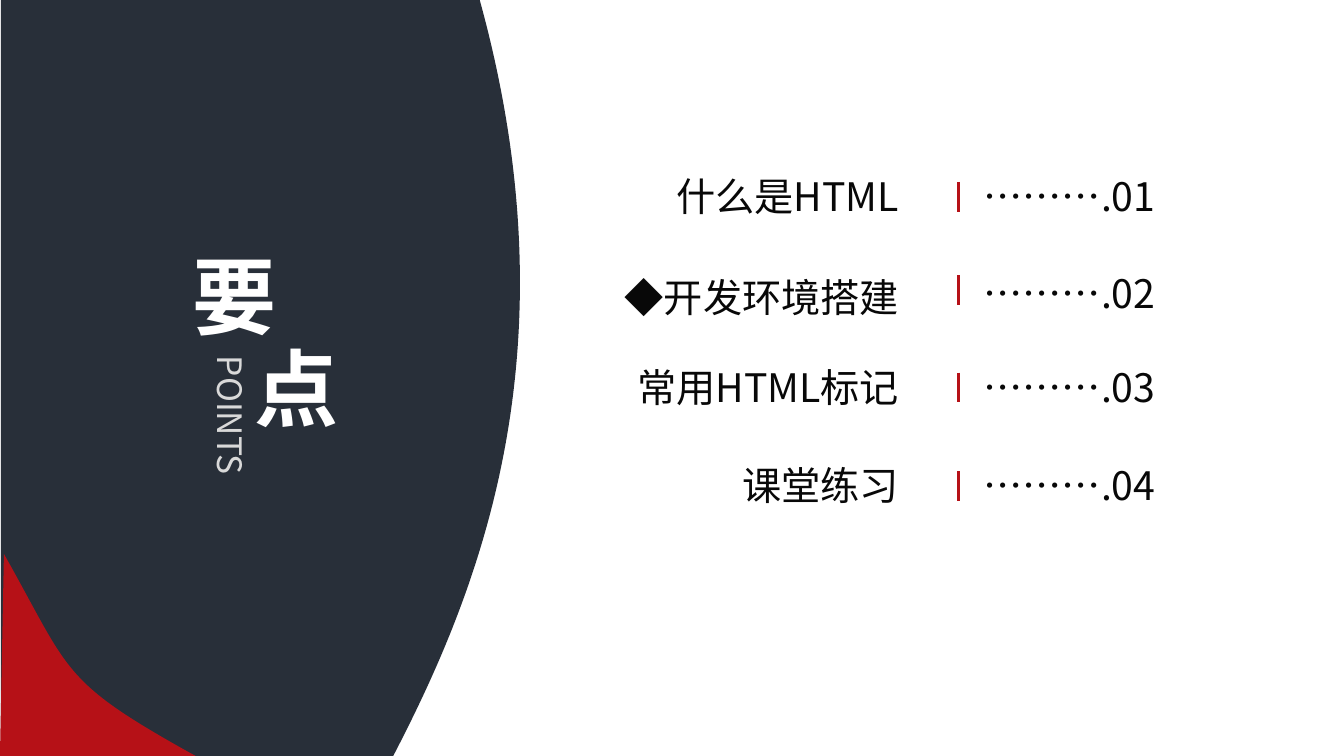
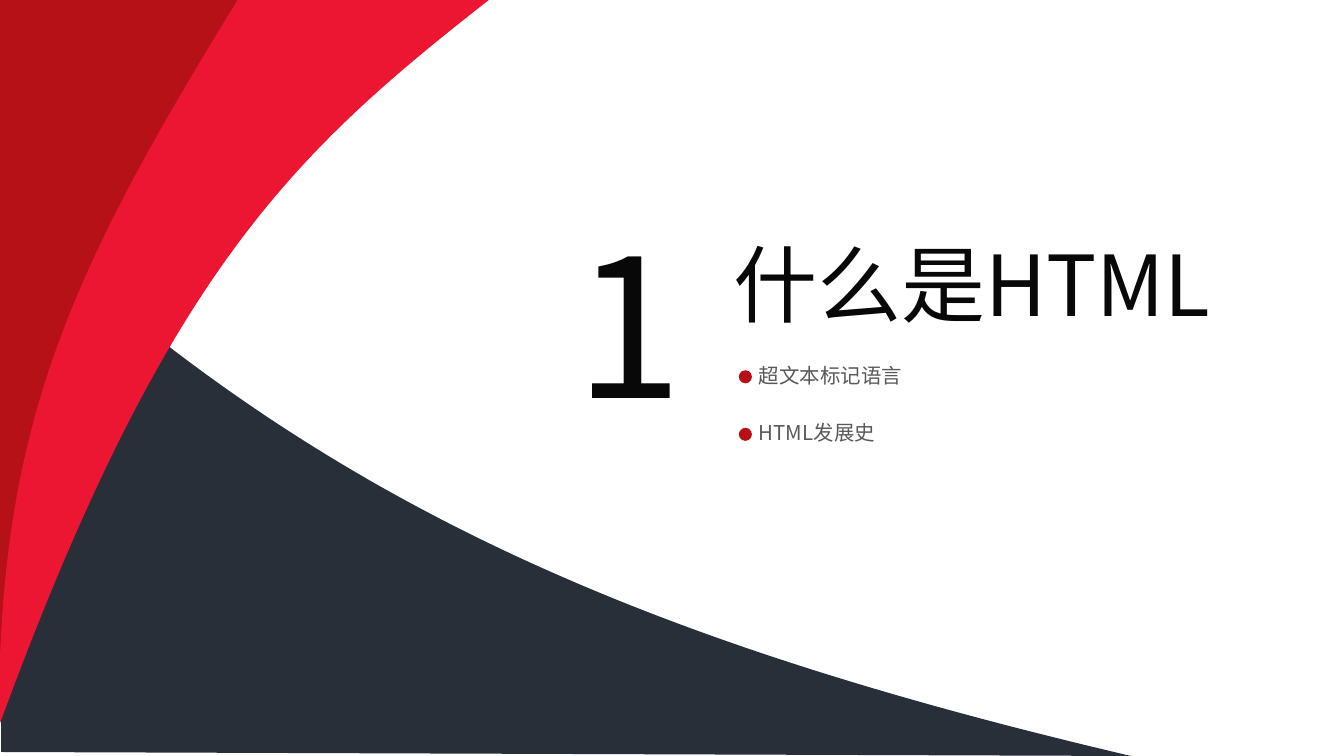
from lxml.etree import SubElement
from pptx import Presentation
from pptx.dml.color import RGBColor
from pptx.enum.shapes import MSO_CONNECTOR, MSO_SHAPE
from pptx.enum.text import MSO_AUTO_SIZE, PP_ALIGN
from pptx.oxml.ns import qn
from pptx.util import Cm, Pt

FONT = "Noto Sans CJK SC"
COLORS = {
    "navy": "282F39", "dark_red": "B61117", "red": "EC1632", "ink": "080808",
    "gray": "595959", "pale": "D9D9D9", "white": "FFFFFF",
}
STYLES = {
    "heading": {"size": Pt(60), "bold": True, "color": "white"},
    "subheading": {"size": Pt(24), "color": "pale"},
    "agenda": {"size": Pt(28), "color": "ink"},
    "title": {"size": Pt(60), "color": "ink"},
    "number": {"size": Pt(138), "color": "ink"},
    "topic": {"size": Pt(14.6), "color": "gray"},
}

# Outlines in cm: a pair is a line end, a six-tuple is a cubic curve.
AGENDA_OUTLINES = [
    ("navy", [(0.02, 0), (12.09, 0), (14.5, 8.74, 12.14, 14.76, 9.91, 19.05), (0.02, 19.05)]),
    ("dark_red", [(0.1, 13.96), (1.8, 16.97, 1.5, 17.15, 4.93, 19.05), (0, 19.05)]),
]
SECTION_OUTLINES = [
    ("navy", [(-0.03, 5.05), (7.85, 12.57, 15.93, 16.1, 28.5, 19.05), (0.03, 18.95)]),
    ("dark_red", [(8.18, 0), (3.76, 3.84, 3.73, 5.46, -0.05, 16.94), (-0.05, -0.08)]),
    ("red", [(12.32, 0), (7.42, 3.84, 4.17, 6.83, -0.03, 18.31),
             (-0.05, 10.8, 1.7, 6.96, 5.99, 0)]),
]

# Text, then the shifts of row, label and bar in cm
AGENDA = [
    ("什么是HTML", 0, 0, 0),
    ("◆开发环境搭建", 0, 0.1, -0.07),
    ("常用HTML标记", -0.05, 0, 0),
    ("课堂练习", 0, 0, 0),
]
AGENDA_TOP, AGENDA_PITCH = 4.22, 2.43
BAR_LEFT, BAR_DROP, BAR_LENGTH = 24.15, 0.36, 0.75

TOPICS = ["超文本标记语言", "HTML发展史"]
TOPICS_TOP, TOPICS_PITCH = 9.02, 1.45
DOT_LEFT, DOT_DROP, DOT_SIZE = 18.62, 0.31, 0.33


def rgb(name):
    return RGBColor.from_string(COLORS[name])


def paint(shape, color):
    shape.shadow.inherit = False
    shape.fill.solid()
    shape.fill.fore_color.rgb = rgb(color)
    shape.line.fill.background()


def curve_points(start, curve, steps=40):
    """Sample a cubic Bezier curve to find how far it reaches."""
    x1, y1, x2, y2, x3, y3 = curve
    for step in range(1, steps + 1):
        t = step / steps
        u = 1 - t
        weights = (u ** 3, 3 * u * u * t, 3 * u * t * t, t ** 3)
        yield tuple(sum(w * value for w, value in zip(weights, axis))
                    for axis in ((start[0], x1, x2, x3), (start[1], y1, y2, y3)))


def write_curves(shape, segments):
    """Write the outline as lines and true curves in the shape's own frame."""
    outline = next(shape._element.iter(qn("a:path")))
    for child in list(outline):
        outline.remove(child)
    for index, segment in enumerate(segments):
        tag = "a:moveTo" if index == 0 else "a:lnTo" if len(segment) == 2 else "a:cubicBezTo"
        command = SubElement(outline, qn(tag))
        for x, y in zip(segment[::2], segment[1::2]):
            SubElement(command, qn("a:pt"), x=str(Cm(x) - shape.left), y=str(Cm(y) - shape.top))
    SubElement(outline, qn("a:close"))


def add_outline(shapes, color, segments):
    points = [segments[0]]
    for segment in segments[1:]:
        points.extend([segment] if len(segment) == 2 else curve_points(points[-1], segment))
    points = [(Cm(x), Cm(y)) for x, y in points]
    builder = shapes.build_freeform(*points[0])
    builder.add_line_segments(points[1:], close=True)
    shape = builder.convert_to_shape()
    write_curves(shape, segments)
    paint(shape, color)


def add_text(shapes, text, box, style, align=PP_ALIGN.LEFT, wrap=True):
    shape = shapes.add_textbox(*map(Cm, box))
    frame = shape.text_frame
    frame.word_wrap = wrap
    frame.auto_size = MSO_AUTO_SIZE.SHAPE_TO_FIT_TEXT
    paragraph = frame.paragraphs[0]
    paragraph.alignment = align
    run = paragraph.add_run()
    run.text = text
    for name, value in {"name": FONT, **STYLES[style]}.items():
        if name == "color":
            run.font.color.rgb = rgb(value)
        else:
            setattr(run.font, name, value)
    SubElement(run._r.get_or_add_rPr(), qn("a:ea"), typeface=FONT)
    return shape


def add_bar(shapes, top):
    bar = shapes.add_connector(MSO_CONNECTOR.STRAIGHT, Cm(BAR_LEFT), Cm(top),
                               Cm(BAR_LEFT), Cm(top + BAR_LENGTH))
    bar.line.color.rgb = rgb("dark_red")
    bar.line.width = Pt(2.25)
    SubElement(bar._element.spPr, qn("a:effectLst"))


def add_slide(presentation, outlines):
    slide = presentation.slides.add_slide(presentation.slide_layouts[6])
    for color, segments in outlines:
        add_outline(slide.shapes, color, segments)
    return slide


def build_agenda(presentation):
    shapes = add_slide(presentation, AGENDA_OUTLINES).shapes
    heading = add_text(shapes, "要", (4.6, 6.04, 5, 2.82), "heading")
    heading.text_frame.paragraphs[0].runs[0]._r.get_or_add_rPr().set("spc", "400")
    points = add_text(shapes, "POINTS", (4.91, 8.72, 1.55, 3.4), "subheading", wrap=False)
    points.text_frame._txBody.bodyPr.set("vert", "eaVert")
    add_text(shapes, "点", (6.17, 8.36, 2.39, 2.82), "heading")
    for index, (label, row_shift, label_shift, bar_shift) in enumerate(AGENDA):
        top = AGENDA_TOP + index * AGENDA_PITCH + row_shift
        row = shapes.add_group_shape().shapes
        add_text(row, label, (14.75, top + label_shift, 8.15, 1.45), "agenda", PP_ALIGN.RIGHT)
        add_bar(row, top + BAR_DROP + bar_shift)
        add_text(row, f"……….{index + 1:02}", (24.54, top, 5.16, 1.45), "agenda")


def build_section(presentation):
    shapes = add_slide(presentation, SECTION_OUTLINES).shapes
    add_text(shapes, AGENDA[0][0], (18.23, 5.74, 14.17, 2.82), "title")
    add_text(shapes, "1", (14.25, 5.05, 3.96, 6.15), "number")
    for index, topic in enumerate(TOPICS):
        top = TOPICS_TOP + index * TOPICS_PITCH
        row = shapes.add_group_shape().shapes
        dot = row.add_shape(MSO_SHAPE.OVAL, Cm(DOT_LEFT), Cm(top + DOT_DROP),
                            Cm(DOT_SIZE), Cm(DOT_SIZE))
        paint(dot, "dark_red")
        add_text(row, topic, (18.87, top, 6.02, 0.89), "topic")


def main():
    presentation = Presentation()
    presentation.slide_width = Cm(33.87)
    presentation.slide_height = Cm(19.05)
    build_agenda(presentation)
    build_section(presentation)
    presentation.save("out.pptx")


if __name__ == "__main__":
    main()
